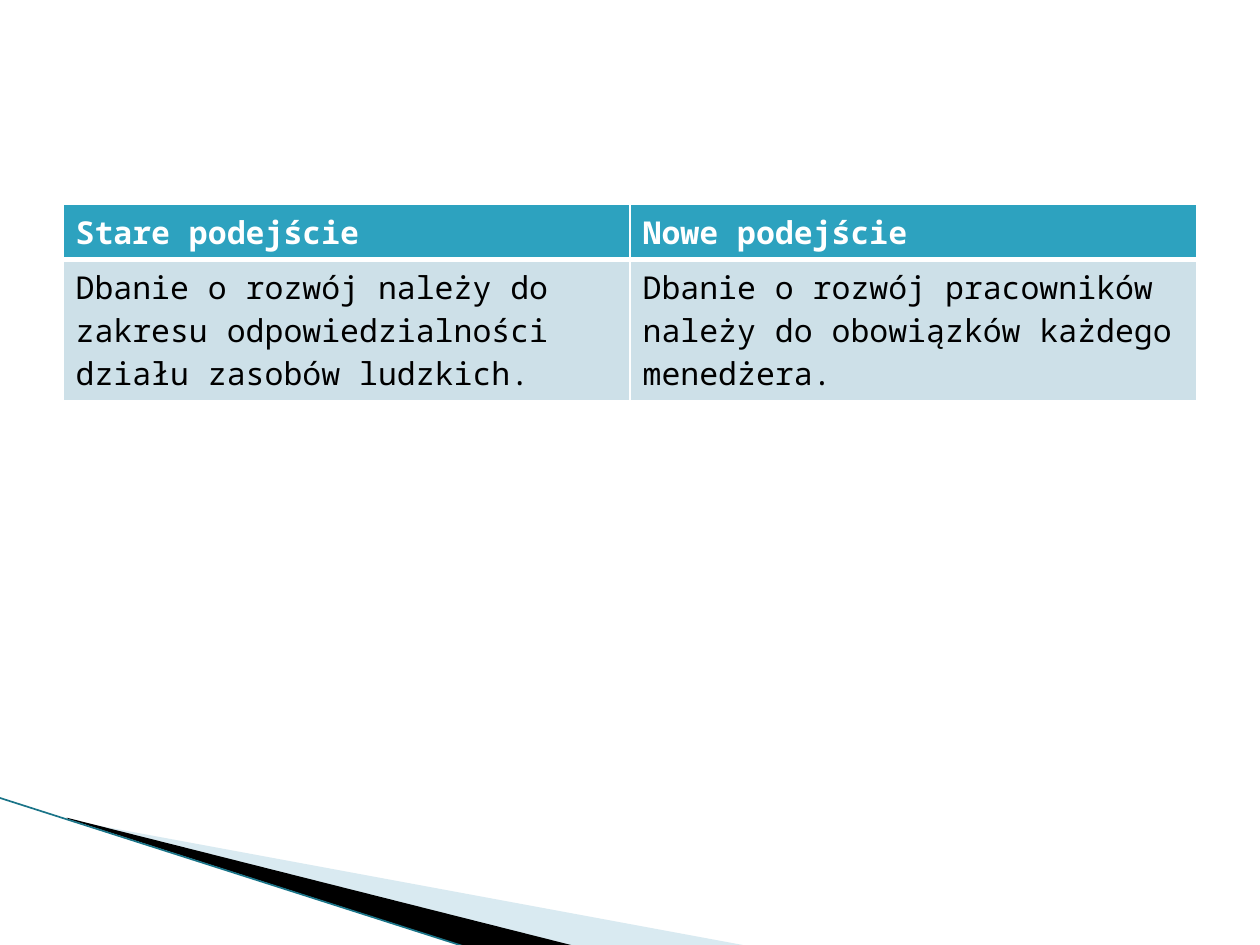
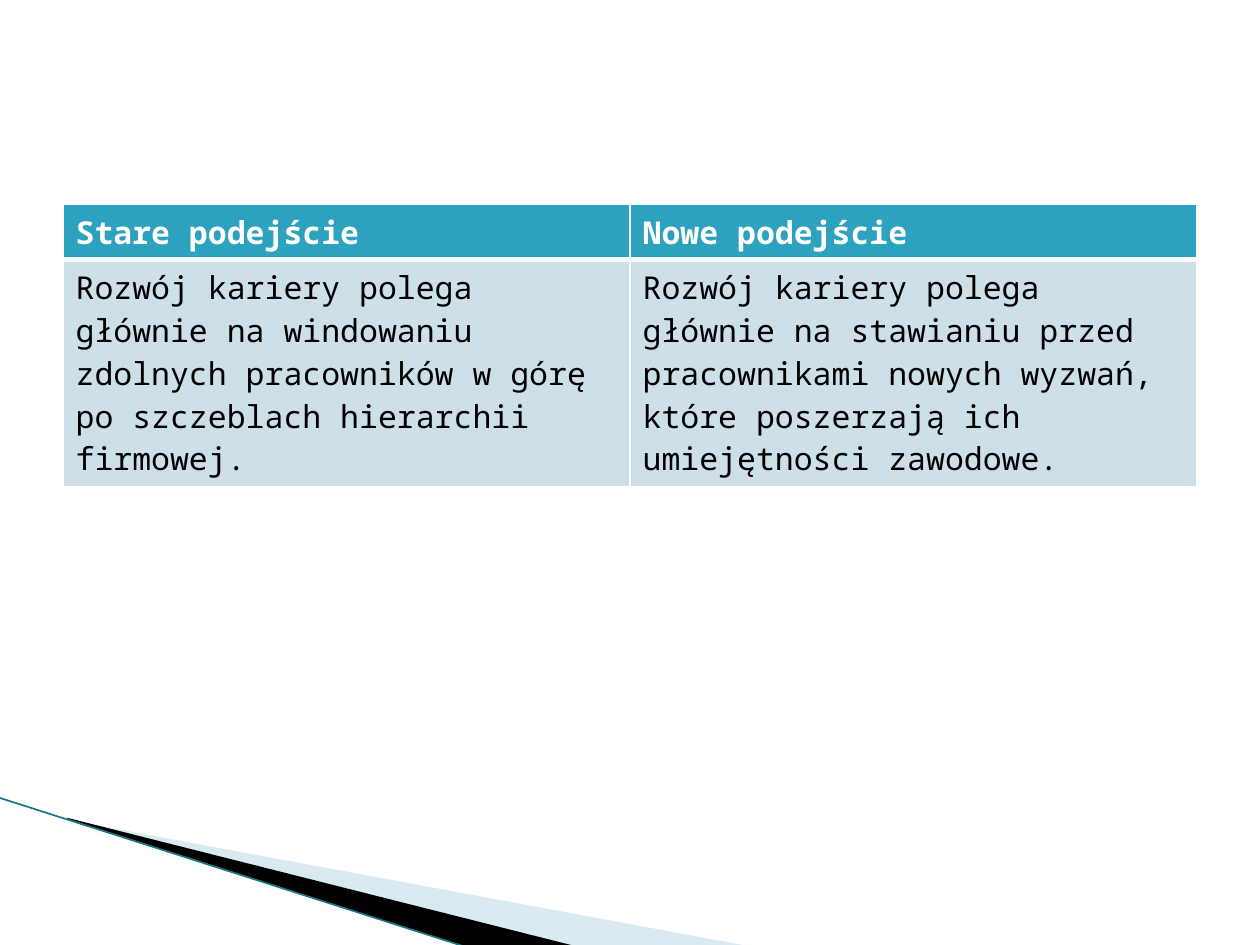
"""Build two slides comparing the old and new approach to staff development."""
import pptx
import pptx.dml.color
import pptx.enum.shapes
import pptx.oxml
import pptx.oxml.ns
import pptx.util

HEADINGS = ("Stare podejście", "Nowe podejście")
COMPARISONS = [
    ("Dbanie o rozwój należy do zakresu odpowiedzialności działu zasobów ludzkich.",
     "Dbanie o rozwój pracowników należy do obowiązków każdego menedżera."),
    ("Rozwój kariery polega głównie na windowaniu zdolnych pracowników w górę "
     "po szczeblach hierarchii firmowej.",
     "Rozwój kariery polega głównie na stawianiu przed pracownikami nowych wyzwań, "
     "które poszerzają ich umiejętności zawodowe."),
]
COLORS = {"header": "2DA2BF", "body": "CDE0E8", "white": "FFFFFF",
          "black": "000000", "pale": "A0CBDC", "edge": "1A7488"}
FONT = "Noto Sans Mono"
WIDTH, HEIGHT = 10, 7.5
MARGIN, TABLE_TOP, ROW_HEIGHT = WIDTH * 0.05, 1.62, 0.41
THIN, THICK = 1, 3
WEDGES = [
    ([(0.55, 6.51), (5.95, 7.51), (4.56, 7.51), (0.55, 6.5)], "pale", 40),
    ([(0.53, 6.49), (4.57, 7.51), (3.72, 7.52), (0.54, 6.5)], "black", 100),
]
EDGE = [(-0.01, 6.33), (3.71, 7.52)]


def rgb(name):
    return pptx.dml.color.RGBColor.from_string(COLORS[name])


def to_emu(points):
    return [tuple(pptx.util.Inches(value) for value in point) for point in points]


def add_wedge(slide, points, color, opacity):
    start, *corners = to_emu(points)
    builder = slide.shapes.build_freeform(*start)
    builder.add_line_segments(corners, close=True)
    wedge = builder.convert_to_shape()
    wedge.shadow.inherit = False
    wedge.fill.solid()
    wedge.fill.fore_color.rgb = rgb(color)
    wedge.line.fill.background()
    if opacity < 100:
        tint = wedge._element.spPr.find(".//" + pptx.oxml.ns.qn("a:srgbClr"))
        alpha = tint.makeelement(pptx.oxml.ns.qn("a:alpha"), {"val": str(opacity * 1000)})
        tint.append(alpha)


def add_corner(slide):
    for wedge in WEDGES:
        add_wedge(slide, *wedge)
    start, end = to_emu(EDGE)
    edge = slide.shapes.add_connector(
        pptx.enum.shapes.MSO_CONNECTOR.STRAIGHT, *start, *end)
    edge.line.color.rgb = rgb("edge")
    edge.line.width = pptx.util.Pt(0.95)
    properties = edge._element.spPr
    properties.append(properties.makeelement(pptx.oxml.ns.qn("a:effectLst"), {}))


def set_borders(cell, widths):
    properties = cell._tc.get_or_add_tcPr()
    for index, (side, width) in enumerate(widths.items()):
        properties.insert(index, pptx.oxml.parse_xml(
            f'<a:ln{side} {pptx.oxml.ns.nsdecls("a")} w="{pptx.util.Pt(width)}"><a:solidFill>'
            f'<a:srgbClr val="{COLORS["white"]}"/></a:solidFill></a:ln{side}>'))


def add_comparison(slide, statements):
    rows = (HEADINGS, statements)
    frame = [pptx.util.Inches(value) for value in (
        MARGIN, TABLE_TOP, WIDTH - 2 * MARGIN, ROW_HEIGHT * len(rows))]
    table = slide.shapes.add_table(len(rows), len(HEADINGS), *frame).table
    for row, texts in enumerate(rows):
        heading = row == 0
        for column, text in enumerate(texts):
            cell = table.cell(row, column)
            cell.fill.solid()
            cell.fill.fore_color.rgb = rgb("header" if heading else "body")
            set_borders(cell, {"L": THIN, "R": THIN,
                               "T": THIN if heading else THICK,
                               "B": THICK if heading else THIN})
            cell.text_frame.text = text
            font = cell.text_frame.paragraphs[0].runs[0].font
            font.name, font.size, font.bold = FONT, pptx.util.Pt(18), heading
            font.color.rgb = rgb("white" if heading else "black")


def main():
    deck = pptx.Presentation()
    deck.slide_width = pptx.util.Inches(WIDTH)
    deck.slide_height = pptx.util.Inches(HEIGHT)
    blank = deck.slide_layouts.get_by_name("Blank")
    for statements in COMPARISONS:
        slide = deck.slides.add_slide(blank)
        add_corner(slide)
        add_comparison(slide, statements)
    deck.save("out.pptx")


if __name__ == "__main__":
    main()
